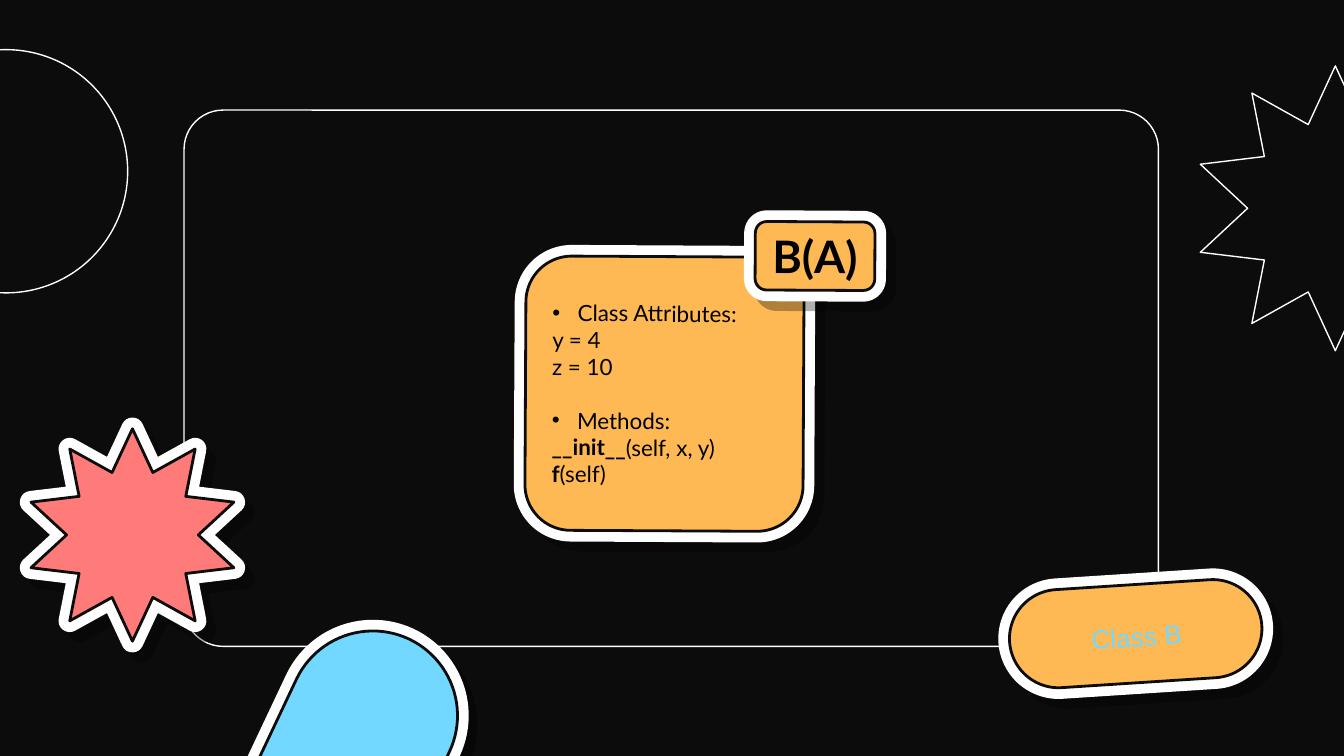
"""Build a class card slide with sticker shapes."""
from dataclasses import dataclass

from lxml.etree import SubElement
from pptx import Presentation
from pptx.dml.color import RGBColor
from pptx.enum.shapes import MSO_SHAPE as Kind
from pptx.enum.text import MSO_ANCHOR as Anchor, PP_ALIGN as Align
from pptx.oxml.ns import qn
from pptx.util import Pt

BLACK = RGBColor(0, 0, 0)
INK = RGBColor(0x0C, 0x0C, 0x0D)
WHITE = RGBColor(0xFF, 0xFF, 0xFF)
CORAL = RGBColor(0xFF, 0x7B, 0x79)
SKY = RGBColor(0x72, 0xD8, 0xFF)
AMBER = RGBColor(0xFF, 0xB9, 0x54)


@dataclass(frozen=True)
class Form:
    kind: Kind
    box: tuple[float, float, float, float]
    turn: float = 0
    bends: tuple[float, ...] = ()


@dataclass(frozen=True)
class Shade:
    alpha: int = 31
    dist: float = 7.5
    angle: int = 44


@dataclass(frozen=True)
class Line:
    words: tuple[tuple[str, bool], ...]
    dot: bool = False
    gap: float = 0


STAR = (0.309, 1.051)
OUTLINES = (
    Form(Kind.ROUNDED_RECTANGLE, (98.6, 59, 522, 287.3), 0, (0.073,)),
    Form(Kind.OVAL, (-61.9, 26.6, 130.3, 130.3), 19.6),
    Form(Kind.STAR_10_POINT, (643, 35.3, 144.7, 152.6), 0, STAR),
)
BURST = Form(Kind.STAR_10_POINT, (16.6, 229.7, 108.7, 113.8), 0, STAR)
TAB = Form(Kind.ROUND_2_SAME_RECTANGLE, (149.8, 337, 90.7, 112.3), 25.3, (0.5, 0))
CARD = Form(Kind.ROUNDED_RECTANGLE, (281.5, 137.5, 149, 146.9), 0.3, (0.167,))
PILL = Form(Kind.ROUNDED_RECTANGLE, (540.7, 313.2, 135.4, 52.6), 356.3, (0.5,))
TAG = Form(Kind.ROUNDED_RECTANGLE, (404.6, 118.8, 64.1, 36.7), 0.3, (0.167,))

MEMBERS = (
    Line((("Class Attributes:", False),), dot=True),
    Line((("y = 4", False),)),
    Line((("z = 10", False),)),
    Line((("Methods:", False),), dot=True, gap=14.4),
    Line((("__init__", True), ("(self, x, y)", False))),
    Line((("f", True), ("(self)", False))),
)


def draw(slide, form: Form, fill: RGBColor | None, edge: RGBColor, width: float):
    """Draw one preset shape without a shadow."""
    shape = slide.shapes.add_shape(form.kind, *map(Pt, form.box))
    shape.rotation = form.turn
    shape.shadow.inherit = False
    for index, bend in enumerate(form.bends):
        shape.adjustments[index] = bend
    if fill is None:
        shape.fill.background()
    else:
        shape.fill.solid()
        shape.fill.fore_color.rgb = fill
    shape.line.color.rgb = edge
    shape.line.width = Pt(width)
    return shape


def cast(shape, shade: Shade) -> None:
    """Give a shape round line joins and a hard shadow."""
    props = shape.element.spPr
    SubElement(props.find(qn("a:ln")), qn("a:round"))
    shadow = SubElement(
        props.find(qn("a:effectLst")), qn("a:outerShdw"), blurRad="0",
        dist=str(Pt(shade.dist)), dir=str(shade.angle * 60000),
        algn="bl", rotWithShape="0")
    tint = SubElement(shadow, qn("a:srgbClr"), val=str(BLACK))
    SubElement(tint, qn("a:alpha"), val=str(shade.alpha * 1000))


def sticker(slide, form: Form, fill: RGBColor, shade: Shade = Shade()):
    """Draw a white backing and a coloured face, and return the face."""
    cast(draw(slide, form, WHITE, WHITE, 12), shade)
    return draw(slide, form, fill, INK, 1.5)


def dot(para) -> None:
    """Add a hanging bullet to a paragraph."""
    props = para._p.get_or_add_pPr()
    props.set("marL", str(Pt(13.5)))
    props.set("indent", str(-Pt(13.5)))
    tint = SubElement(props, qn("a:buClr"))
    SubElement(tint, qn("a:srgbClr"), val=str(BLACK))
    SubElement(props, qn("a:buFont"), typeface="Arial")
    SubElement(props, qn("a:buChar"), char="•")


def trace(run, tint: RGBColor) -> None:
    """Outline the letters of a run."""
    props = run._r.get_or_add_rPr()
    line = SubElement(props, qn("a:ln"), w=str(Pt(1.5)))
    fill = SubElement(line, qn("a:solidFill"))
    SubElement(fill, qn("a:srgbClr"), val=str(tint))
    props.insert(0, line)


def write(shape, lines: tuple[Line, ...], *, size: float, font: str = "Lato",
          color: RGBColor = BLACK, align: Align = Align.CENTER,
          anchor: Anchor = Anchor.MIDDLE, inset: float = 7.2,
          rim: RGBColor | None = None) -> None:
    """Fill a shape with formatted lines of text."""
    frame = shape.text_frame
    frame.word_wrap = True
    frame.vertical_anchor = anchor
    frame.margin_left = frame.margin_right = Pt(7.2)
    frame.margin_top = frame.margin_bottom = Pt(inset)
    for index, line in enumerate(lines):
        para = frame.add_paragraph() if index else frame.paragraphs[0]
        para.alignment = align
        para.space_before = Pt(line.gap)
        if line.dot:
            dot(para)
        for text, bold in line.words:
            run = para.add_run()
            run.text = text
            run.font.name = font
            run.font.size = Pt(size)
            run.font.bold = bold
            run.font.color.rgb = color
            if rim is not None:
                trace(run, rim)


def main() -> None:
    """Build and save the slide."""
    deck = Presentation()
    deck.slide_width, deck.slide_height = Pt(720), Pt(405)
    slide = deck.slides.add_slide(deck.slide_layouts[6])
    slide.background.fill.solid()
    slide.background.fill.fore_color.rgb = INK

    for form in OUTLINES:
        draw(slide, form, None, WHITE, 0.75)
    sticker(slide, BURST, CORAL, Shade(angle=47))
    sticker(slide, TAB, SKY, Shade(36, 6.8, 46))
    write(sticker(slide, CARD, AMBER), MEMBERS, size=12, align=Align.LEFT)

    sticker(slide, PILL, AMBER)
    label = slide.shapes.add_textbox(Pt(565.2), Pt(329), Pt(87.1), Pt(20.9))
    label.rotation = PILL.turn
    write(label, (Line((("Class B", False),)),), size=14, font="Arial",
          color=SKY, anchor=Anchor.TOP, inset=3.6, rim=INK)

    write(sticker(slide, TAG, AMBER), (Line((("B(A)", True),)),), size=24)
    deck.save("out.pptx")


if __name__ == "__main__":
    main()
